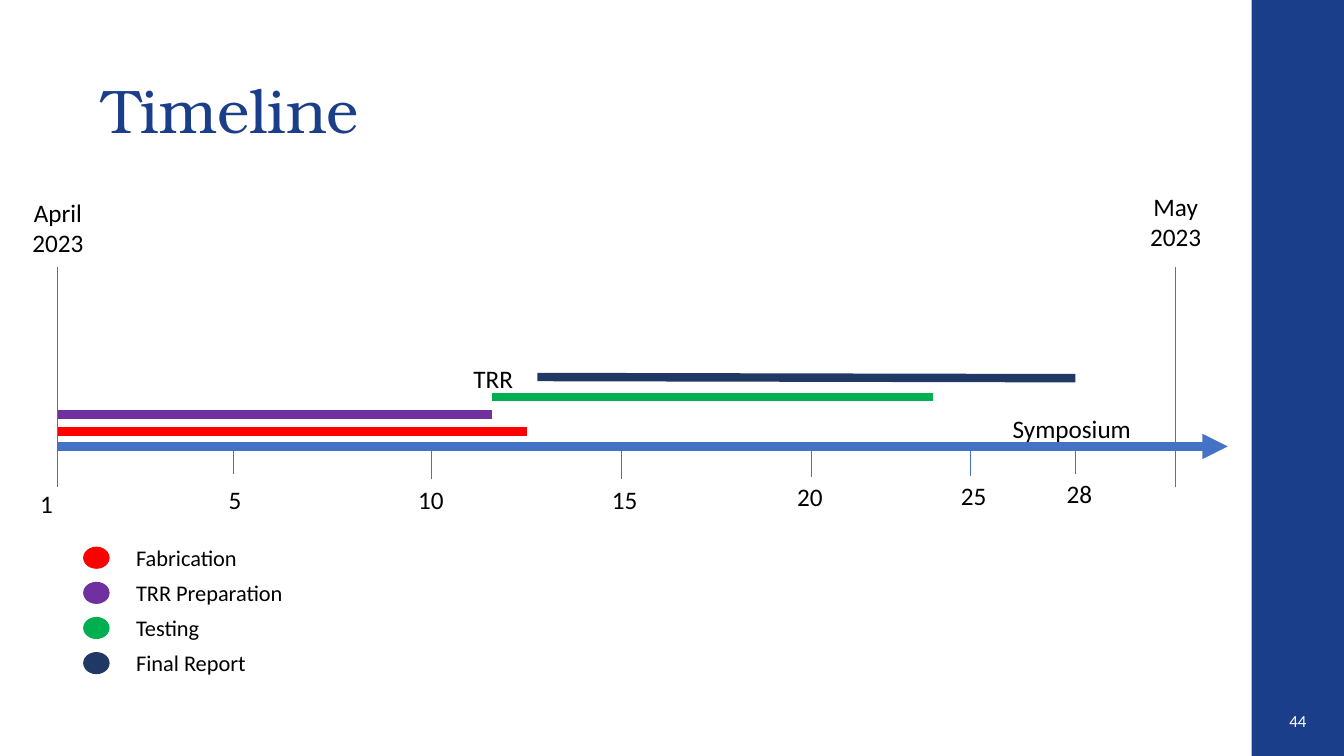
from lxml import etree
from pptx import Presentation
from pptx.dml.color import RGBColor
from pptx.enum.shapes import MSO_CONNECTOR, MSO_SHAPE
from pptx.enum.text import MSO_ANCHOR, PP_ALIGN
from pptx.oxml.ns import qn
from pptx.util import Cm, Pt

NAVY = RGBColor(0x1B, 0x3E, 0x8A)
BLUE = RGBColor(0x44, 0x72, 0xC4)
RED = RGBColor(0xFF, 0x00, 0x00)
PURPLE = RGBColor(0x70, 0x30, 0xA0)
GREEN = RGBColor(0x00, 0xB0, 0x50)
DARK = RGBColor(0x20, 0x38, 0x64)
BLACK = RGBColor(0, 0, 0)
WHITE = RGBColor(0xFF, 0xFF, 0xFF)
LEFT, CENTER = PP_ALIGN.LEFT, PP_ALIGN.CENTER

# Tasks: name, colour, start, end, height of both ends above the axis (cm)
TASKS = [
    ("Fabrication", RED, 0.02, 11.83, 0.38, 0.38),
    ("TRR Preparation", PURPLE, 0, 10.95, 0.81, 0.81),
    ("Testing", GREEN, 10.95, 22.05, 1.24, 1.24),
    ("Final Report", DARK, 12.09, 25.65, 1.75, 1.72),
]
# Days: number, place on the axis, tick start below axis, label shift, label drop
DAYS = [
    ("5", 4.42, -0.02, -0.36, 0.82, LEFT),
    ("10", 9.42, 0.1, -0.58, 0.82, LEFT),
    ("15", 14.22, 0.1, -0.61, 0.82, CENTER),
    ("20", 19, 0.05, -0.61, 0.76, LEFT),
    ("25", 23.01, 0.03, -0.61, 0.74, CENTER),
    ("28", 25.65, -0.02, -0.58, 0.69, CENTER),
]


def add_text(slide, text, left, top, width, height, size, color=BLACK,
             align=LEFT, font="Calibri", anchor=MSO_ANCHOR.TOP):
    frame = slide.shapes.add_textbox(
        Cm(left), Cm(top), Cm(width), Cm(height)).text_frame
    frame.word_wrap = True
    frame.vertical_anchor = anchor
    paragraph = frame.paragraphs[0]
    paragraph.text = text
    paragraph.alignment = align
    paragraph.font.name = font
    paragraph.font.size = Pt(size)
    paragraph.font.color.rgb = color
    return paragraph


def add_line(slide, x1, y1, x2, y2, color, weight, arrow=False):
    line = slide.shapes.add_connector(
        MSO_CONNECTOR.STRAIGHT, Cm(x1), Cm(y1), Cm(x2), Cm(y2))
    line.line.color.rgb = color
    line.line.width = Pt(weight)
    if arrow:
        etree.SubElement(line.line._get_or_add_ln(), qn("a:tailEnd"), type="triangle")
    etree.SubElement(line._element.spPr, qn("a:effectLst"))


def add_filled(slide, kind, left, top, width, height, color):
    shape = slide.shapes.add_shape(kind, Cm(left), Cm(top), Cm(width), Cm(height))
    shape.shadow.inherit = False
    shape.fill.solid()
    shape.fill.fore_color.rgb = color
    shape.line.color.rgb = color
    return shape


def add_sidebar(slide, left, top, width, height):
    band = add_filled(slide, MSO_SHAPE.RECTANGLE, left, top, width, height, NAVY)
    band.line.fill.background()
    add_text(slide, "44", left + 0.57, top + 17.65, 1.2, 1.02, 12, WHITE,
             CENTER, anchor=MSO_ANCHOR.MIDDLE)


def add_title(slide, left, top, width, height):
    title = add_text(slide, "Timeline", left, top, width, height, 44, NAVY,
                     font="TeX Gyre Bonum", anchor=MSO_ANCHOR.MIDDLE)
    title.line_spacing = 0.9


def add_timeline(slide, left, top, width, height):
    axis = top + 4.52
    add_line(slide, left, axis, left + width, axis, BLUE, 6, arrow=True)

    # Month boundaries
    for month, x, label_top in [("April 2023", 0, -1.88), ("May 2023", 28.17, -2.03)]:
        add_line(slide, left + x, top, left + x, top + height, BLUE, 0.5)
        add_text(slide, month, left + x - 1.26, top + label_top, 2.54, 1.8, 18,
                 align=CENTER)

    # Task bars
    for _, color, start, end, rise_start, rise_end in TASKS:
        add_line(slide, left + start, axis - rise_start,
                 left + end, axis - rise_end, color, 6)

    # Day ticks and numbers
    add_text(slide, "1", left - 0.69, axis + 0.92, 1.37, 1.02, 18)
    for day, x, tick, shift, drop, align in DAYS:
        add_line(slide, left + x, axis + tick, left + x, axis + tick + 0.72, BLUE, 0.5)
        add_text(slide, day, left + x + shift, axis + drop, 1.37, 1.02, 18, align=align)

    # Events
    add_text(slide, "TRR", left + 10.23, axis - 2.23, 1.85, 1.02, 18)
    add_text(slide, "Symposium", left + 23.82, axis - 0.96, 4.04, 1.02, 18)


def add_legend(slide, left, top, width, height):
    step = height / len(TASKS)
    for row, (name, color, *_) in enumerate(TASKS):
        y = top + row * step
        add_filled(slide, MSO_SHAPE.OVAL, left, y, 0.64, 0.53, color)
        add_text(slide, name, left + 1.07, y - 0.2, width - 1.07, 0.94, 16)


def main():
    deck = Presentation()
    deck.slide_width, deck.slide_height = Cm(33.87), Cm(19.05)
    slide = deck.slides.add_slide(deck.slide_layouts[6])
    add_sidebar(slide, 31.54, 0, 2.33, 19.05)
    add_title(slide, 2.34, 1.02, 27.61, 3.68)
    add_timeline(slide, 1.45, 6.73, 29.49, 5.54)
    add_legend(slide, 2.11, 13.79, 7.6, 3.54)
    deck.save("out.pptx")


if __name__ == "__main__":
    main()
